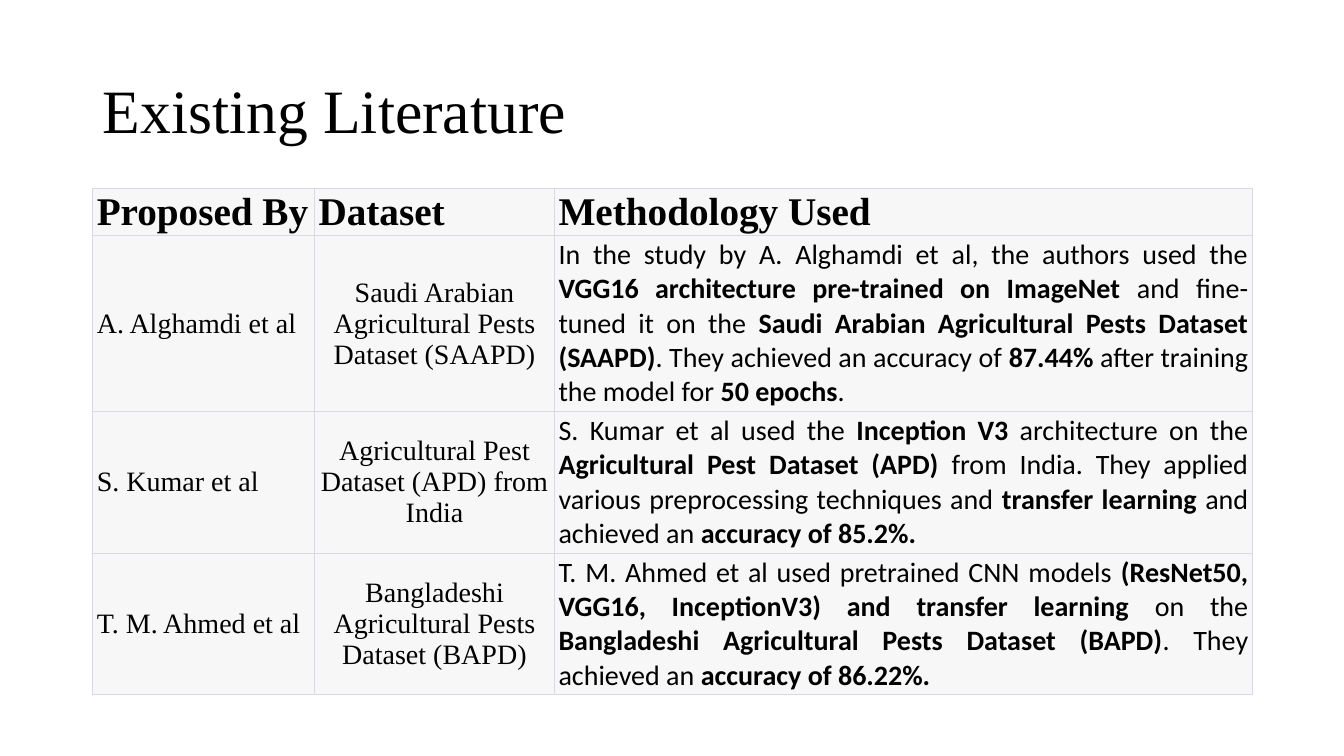
from dataclasses import dataclass
from lxml.etree import SubElement
from pptx import Presentation
from pptx.dml.color import RGBColor as Rgb
from pptx.enum.text import MSO_ANCHOR as Anchor, MSO_AUTO_SIZE as Fit, PP_ALIGN as Align
from pptx.oxml.ns import qn
from pptx.util import Inches, Pt

TITLE = "Existing Literature"
HEADS = ("Proposed By", "Dataset", "Methodology Used")
STUDIES = [
    ("A. Alghamdi et al",
     "Saudi Arabian Agricultural Pests Dataset (SAAPD)",
     "In the study by A. Alghamdi et al, the authors used the "
     "**VGG16 architecture pre-trained on ImageNet **and fine-tuned it on the "
     "**Saudi Arabian Agricultural Pests Dataset (SAAPD)**. They achieved an accuracy of "
     "**87.44% **after training the model for **50 epochs**."),
    ("S. Kumar et al",
     "Agricultural Pest Dataset (APD) from India",
     "S. Kumar et al used the **Inception V3** architecture on the "
     "**Agricultural Pest Dataset (APD)** from India. They applied various preprocessing "
     "techniques and **transfer learning** and achieved an **accuracy of 85.2%.**"),
    ("T. M. Ahmed et al",
     "Bangladeshi Agricultural Pests Dataset (BAPD)",
     "T. M. Ahmed et al used pretrained CNN models "
     "**(ResNet50, VGG16, InceptionV3) and transfer learning **on the "
     "**Bangladeshi Agricultural Pests Dataset (BAPD)**. They achieved an "
     "**accuracy of 86.22%.**"),
]
LEFT, WIDTH = 0.92, 11.5
COLS = (2.2, 2.38, 6.92)
ROWS = (0.47, 1.74, 1.41, 1.4)


@dataclass(frozen=True)
class Theme:
    ink: str = "000000"
    fill: str = "F7F7F8"
    rule: str = "D9D9E3"
    serif: str = "Times New Roman"
    sans: str = "Calibri"
    title: int = 44
    head: int = 28
    body: int = 20
    thin: float = 0.6
    thick: float = 1


LOOK = Theme()


def style(font, face, size):
    font.name = face
    font.size = Pt(size)
    font.color.rgb = Rgb.from_string(LOOK.ink)


def edge(cell, top):
    props = cell._tc.get_or_add_tcPr()
    sides = {"L": LOOK.thin, "R": LOOK.thin, "T": top, "B": LOOK.thick}
    for side, width in sides.items():
        line = SubElement(props, qn(f"a:ln{side}"), w=str(Pt(width)))
        paint = SubElement(line, qn("a:solidFill"))
        SubElement(paint, qn("a:srgbClr"), val=LOOK.rule)


def fill_cell(cell, text, row, col):
    head = row == 0
    edge(cell, LOOK.thin if head else LOOK.thick)
    cell.fill.solid()
    cell.fill.fore_color.rgb = Rgb.from_string(LOOK.fill)
    cell.margin_left = cell.margin_right = Inches(0.04)
    cell.margin_top = cell.margin_bottom = Inches(0.02)
    cell.vertical_anchor = Anchor.BOTTOM if head else Anchor.MIDDLE
    para = cell.text_frame.paragraphs[0]
    para.alignment = Align.CENTER if col == 1 and not head else Align.JUSTIFY
    face = LOOK.sans if col == 2 and not head else LOOK.serif
    style(para.font, face, LOOK.head if head else LOOK.body)
    para.font.bold = head
    for turn, part in enumerate(text.split("**")):
        if part:
            run = para.add_run()
            run.text = part
            if turn % 2:
                run.font.bold = True


def add_title(slide):
    title = slide.shapes.title
    title.left, title.top = Inches(LEFT), Inches(0.4)
    title.width, title.height = Inches(WIDTH), Inches(1.45)
    frame = title.text_frame
    frame.text = TITLE
    frame.word_wrap = True
    frame.auto_size = Fit.NONE
    frame.vertical_anchor = Anchor.MIDDLE
    para = frame.paragraphs[0]
    para.alignment = Align.LEFT
    para.line_spacing = 0.9
    style(para.font, LOOK.serif, LOOK.title)


def add_grid(slide):
    grid = slide.shapes.add_table(
        len(ROWS), len(COLS), Inches(LEFT), Inches(1.87),
        Inches(WIDTH), Inches(sum(ROWS))).table
    grid.first_row = grid.horz_banding = False
    for col, width in zip(grid.columns, COLS):
        col.width = Inches(width)
    for row, height in zip(grid.rows, ROWS):
        row.height = Inches(height)
    for row, texts in enumerate([HEADS, *STUDIES]):
        for col, text in enumerate(texts):
            fill_cell(grid.cell(row, col), text, row, col)


def main():
    deck = Presentation()
    deck.slide_width, deck.slide_height = Inches(13.33), Inches(7.5)
    slide = deck.slides.add_slide(deck.slide_layouts[5])
    add_title(slide)
    add_grid(slide)
    deck.save("out.pptx")


if __name__ == "__main__":
    main()
